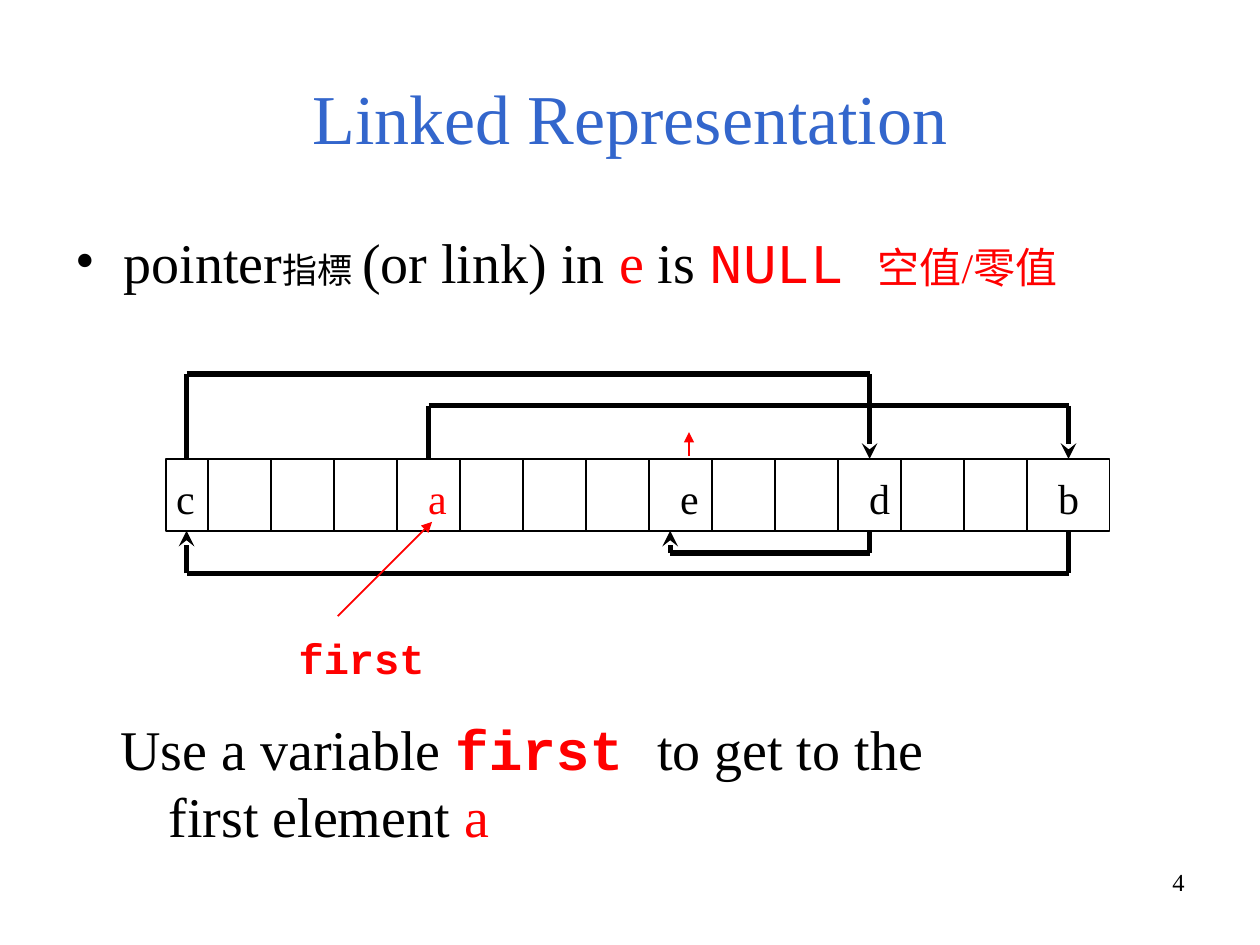
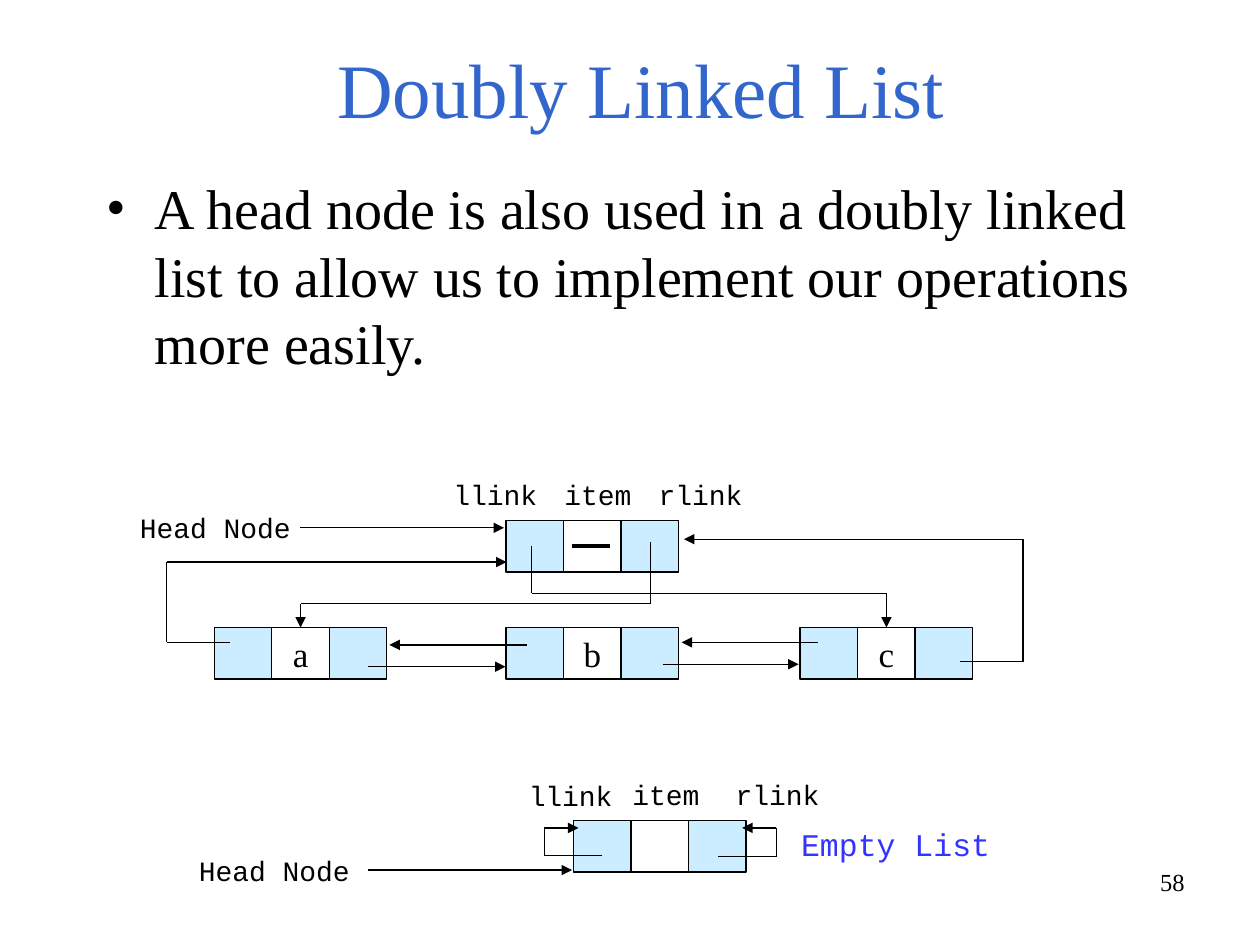
"""Build two slides about linked lists, with their pointer diagrams."""
from itertools import pairwise

from lxml.etree import SubElement
from pptx import Presentation
from pptx.dml.color import RGBColor
from pptx.enum.shapes import MSO_CONNECTOR, MSO_SHAPE
from pptx.enum.text import MSO_ANCHOR, MSO_AUTO_SIZE, PP_ALIGN
from pptx.oxml.ns import qn
from pptx.util import Cm, Pt

BLACK = RGBColor(0x00, 0x00, 0x00)
WHITE = RGBColor(0xFF, 0xFF, 0xFF)
RED = RGBColor(0xFF, 0x00, 0x00)
TITLE_BLUE = RGBColor(0x33, 0x66, 0xCC)
NOTE_BLUE = RGBColor(0x33, 0x33, 0xFF)
LINK_FILL = RGBColor(0xCC, 0xEC, 0xFF)

SERIF = "Times New Roman"
MONO = "Courier New"
BODY = {"name": SERIF, "size": Pt(32), "color": BLACK}
BODY_RED = {**BODY, "color": RED}
TITLE = {**BODY, "color": TITLE_BLUE}
LETTER = {**BODY, "size": Pt(24)}
ITEM = {**BODY, "size": Pt(20)}
NUMBER = {**BODY, "size": Pt(14)}
LABEL = {"name": MONO, "size": Pt(16), "color": BLACK}
VARIABLE = {"name": MONO, "size": Pt(32), "color": RED, "bold": True}

HANGING = Cm(0.97)
SLOT_PITCH = 1.27
ROW_TOP, ROW_BOTTOM = 9.25, 10.7
CELL_WIDTH, CELL_HEIGHT = 1.16, 1.04


def place(shape, left, top, width, height):
    """Move and size a shape, in centimetres."""
    box = {"left": left, "top": top, "width": width, "height": height}
    for name, value in box.items():
        setattr(shape, name, Cm(value))


def write_runs(paragraph, *runs):
    """Add (text, format) runs to a paragraph."""
    for text, style in runs:
        run = paragraph.add_run()
        run.text = text
        for name, value in style.items():
            if name == "color":
                run.font.color.rgb = value
            else:
                setattr(run.font, name, value)


def hang(paragraph, bullet=None):
    """Give a paragraph a hanging indent and, if asked, a bullet."""
    properties = paragraph._p.get_or_add_pPr()
    properties.set("marL", str(HANGING))
    properties.set("indent", str(-HANGING))
    if bullet:
        color = SubElement(properties, qn("a:buClr"))
        SubElement(color, qn("a:srgbClr")).set("val", str(BLACK))
        SubElement(properties, qn("a:buFont")).set("typeface", SERIF)
        SubElement(properties, qn("a:buChar")).set("char", bullet)


def add_text(slide, box, *runs, wrap=True, align=PP_ALIGN.LEFT):
    """Add a text box with one paragraph and return the paragraph."""
    frame = slide.shapes.add_textbox(*map(Cm, box)).text_frame
    frame.word_wrap = wrap
    paragraph = frame.paragraphs[0]
    paragraph.alignment = align
    write_runs(paragraph, *runs)
    return paragraph


def fill_title(slide, text, box, size, anchor):
    """Place and write the title placeholder."""
    title = slide.shapes.title
    place(title, *box)
    frame = title.text_frame
    settings = {"auto_size": MSO_AUTO_SIZE.NONE, "vertical_anchor": anchor}
    for name, value in settings.items():
        setattr(frame, name, value)
    frame.paragraphs[0].alignment = PP_ALIGN.CENTER
    write_runs(frame.paragraphs[0], (text, {**TITLE, "size": Pt(size)}))


def fill_body(slide, box, *runs):
    """Place the body placeholder and write its single bullet."""
    body = slide.placeholders[1]
    place(body, *box)
    body.text_frame.auto_size = MSO_AUTO_SIZE.NONE
    paragraph = body.text_frame.paragraphs[0]
    hang(paragraph, "•")
    paragraph.space_before = Pt(0)
    write_runs(paragraph, *runs)


def add_number(slide, number):
    """Write the slide number at the bottom right."""
    box = (18.21, 17.35, 5.92, 1.32)
    add_text(slide, box, (number, NUMBER), align=PP_ALIGN.RIGHT)


def add_rectangle(slide, box, fill=None, width=0.75):
    """Add a black-edged rectangle, empty unless a fill is given."""
    rectangle = slide.shapes.add_shape(MSO_SHAPE.RECTANGLE, *map(Cm, box))
    rectangle.shadow.inherit = False
    rectangle.line.color.rgb = BLACK
    rectangle.line.width = Pt(width)
    if fill is None:
        rectangle.fill.background()
    else:
        rectangle.fill.solid()
        rectangle.fill.fore_color.rgb = fill
    return rectangle


def add_path(slide, points, arrow=None, color=BLACK, width=0.75, target=None):
    """Draw straight segments through points, with an arrowhead on the last."""
    for start, end in pairwise(points):
        connector = slide.shapes.add_connector(
            MSO_CONNECTOR.STRAIGHT, *map(Cm, (*start, *end)))
        connector.line.color.rgb = color
        connector.line.width = Pt(width)
        SubElement(connector._element.spPr, qn("a:effectLst"))
    if target is not None:
        connector.end_connect(target, 0)
    if arrow:
        line = connector.line._get_or_add_ln()
        SubElement(line, qn("a:tailEnd")).set("type", arrow)


def add_memory_link(slide, start_x, end_x, edge_y, turn_y):
    """Draw a thick pointer that leaves and re-enters one edge of the row."""
    points = [(start_x, edge_y), (start_x, turn_y),
              (end_x, turn_y), (end_x, edge_y)]
    add_path(slide, points, "stealth", width=3)


def add_node(slide, left, top, item=None):
    """Draw a llink-item-rlink node and return its item cell."""
    fills = (LINK_FILL, WHITE if item else None, LINK_FILL)
    cells = [
        add_rectangle(slide, (left + column * CELL_WIDTH, top,
                              CELL_WIDTH, CELL_HEIGHT), fill)
        for column, fill in enumerate(fills)]
    if item:
        frame = cells[1].text_frame
        frame.word_wrap = False
        frame.vertical_anchor = MSO_ANCHOR.MIDDLE
        frame.paragraphs[0].alignment = PP_ALIGN.CENTER
        write_runs(frame.paragraphs[0], (item, ITEM))
    return cells[1]


def build_linked_representation(slide):
    """Show a linked list scattered over a row of memory."""
    fill_title(slide, "Linked Representation", (1.27, 0.76, 22.86, 3.18),
               40, MSO_ANCHOR.MIDDLE)
    fill_body(
        slide, (1.27, 4.45, 22.86, 12.57),
        ("pointer", BODY), ("指標", {**BODY, "size": Pt(20)}),
        (" ", {**BODY, "size": Pt(24)}), ("(or link) in ", BODY),
        ("e", BODY_RED), (" is ", BODY), ("NULL ", {**BODY_RED, "name": MONO}),
        ("空值/零值", {**BODY_RED, "size": Pt(24)}))
    add_number(slide, "4")

    add_rectangle(slide, (3.35, ROW_TOP, 19.02, ROW_BOTTOM - ROW_TOP), width=1)
    for divider in range(14):
        x = 4.19 + divider * SLOT_PITCH
        add_path(slide, [(x, ROW_TOP), (x, ROW_BOTTOM)], width=1)
    for letter, slot in {"c": 0, "a": 4, "e": 8, "d": 11, "b": 14}.items():
        style = {**LETTER, "color": RED} if letter == "a" else LETTER
        box = (3.3 + slot * SLOT_PITCH, 9.4, 0.92, 1.27)
        add_text(slide, box, (letter, style), wrap=False)

    c_x, a_x, e_x, d_x, b_x = 3.76, 8.64, 13.51, 17.53, 21.54
    add_memory_link(slide, a_x, b_x, ROW_TOP, 8.18)
    add_memory_link(slide, b_x, c_x, ROW_BOTTOM, 11.56)
    add_memory_link(slide, c_x, d_x, ROW_TOP, 7.54)
    add_memory_link(slide, d_x, e_x, ROW_BOTTOM, 11.15)

    add_path(slide, [(6.81, 12.42), (8.71, 10.52)], "triangle", RED, 1)
    add_path(slide, [(13.89, 9.19), (13.89, 8.71)], "triangle", RED)
    add_text(slide, (5.77, 12.62, 4.65, 1.27),
             ("first", {**VARIABLE, "size": Pt(24)}))
    hang(add_text(
        slide, (2.18, 14.27, 17.78, 3.3),
        ("Use a variable ", BODY), ("first ", VARIABLE),
        ("to get to the first element ", BODY), ("a", BODY_RED)))


def build_doubly_linked_list(slide):
    """Show a circular doubly linked list and an empty one."""
    fill_title(slide, "Doubly Linked List", (1.9, 0.58, 22.05, 2.24),
               44, MSO_ANCHOR.BOTTOM)
    fill_body(slide, (1.9, 3.38, 21.39, 13.21),
              ("A head node is also used in a doubly linked list to allow us "
               "to implement our operations more easily.", BODY))
    add_number(slide, "58")

    add_node(slide, 10.2, 10.49)
    a_cell = add_node(slide, 4.32, 12.65, "a")
    add_node(slide, 10.2, 12.65, "b")
    c_cell = add_node(slide, 16.13, 12.65, "c")
    add_node(slide, 11.56, 16.54)

    paths = [
        [(7.42, 13.44), (10.19, 13.44)],
        [(13.36, 13.39), (16.1, 13.39)],
        [(10.62, 13), (7.85, 13)],
        [(16.48, 12.95), (13.74, 12.95)],
        [(4.63, 12.95), (3.36, 12.95), (3.36, 11.33), (10.21, 11.33)],
        [(19.35, 13.34), (20.62, 13.34), (20.62, 10.87), (13.79, 10.87)],
        [(6.05, 10.64), (10.16, 10.64)],
        [(7.42, 17.54), (11.53, 17.54)],
        [(14.48, 17.27), (15.65, 17.27), (15.65, 16.69), (14.96, 16.69)],
        [(12.14, 17.25), (10.97, 17.25), (10.97, 16.69), (11.66, 16.69)],
    ]
    for points in paths:
        add_path(slide, points, "triangle")
    add_path(slide, [(10.72, 11), (10.72, 11.96), (17.87, 11.96),
                     (17.87, 12.65)], "triangle", target=c_cell)
    add_path(slide, [(13.11, 10.92), (13.11, 12.17), (6.06, 12.17),
                     (6.06, 12.65)], "triangle", target=a_cell)
    add_path(slide, [(11.53, 11), (12.29, 11)], width=2.25)

    labels = [
        ("llink", 8.89, 9.5), ("item", 11.13, 9.5), ("rlink", 13.03, 9.5),
        ("Head Node", 2.57, 10.16),
        ("llink", 10.41, 15.57), ("item", 12.5, 15.54), ("rlink", 14.58, 15.54),
        ("Head Node", 3.76, 17.09),
    ]
    for text, left, top in labels:
        width = 3.65 if text == "Head Node" else 2.4
        add_text(slide, (left, top, width, 0.94), (text, LABEL))
    add_text(slide, (15.9, 16.51, 4.6, 1.02),
             ("Empty List", {**LABEL, "size": Pt(18), "color": NOTE_BLUE}))


def main():
    """Build both slides and save the presentation."""
    presentation = Presentation()
    presentation.slide_width = Cm(25.4)
    presentation.slide_height = Cm(19.05)
    layout = presentation.slide_layouts[1]
    for build in (build_linked_representation, build_doubly_linked_list):
        build(presentation.slides.add_slide(layout))
    presentation.save("out.pptx")


if __name__ == "__main__":
    main()
